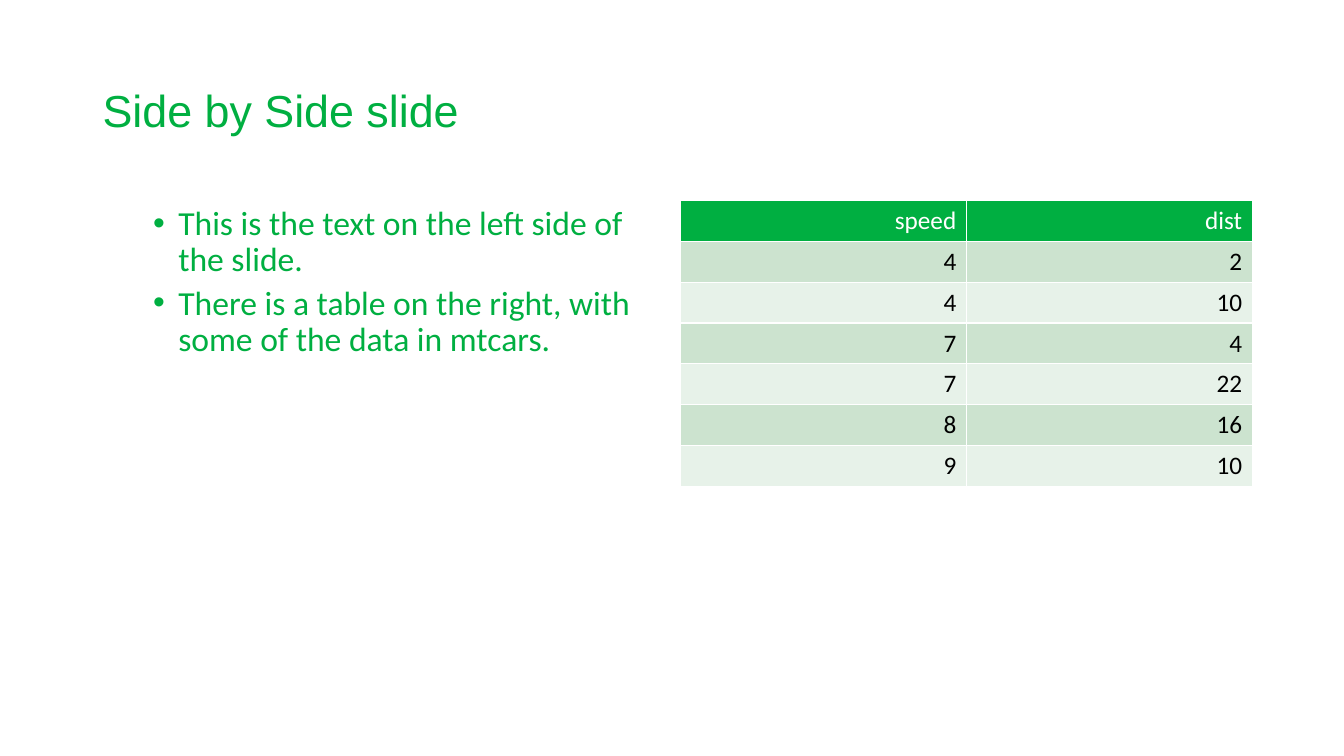
from dataclasses import dataclass

from lxml import etree
from pptx import Presentation
from pptx.dml.color import RGBColor
from pptx.enum import text
from pptx.oxml import ns
from pptx.util import Inches, Pt


@dataclass
class Theme:
    green: str = "00AF41"
    white: str = "FFFFFF"
    black: str = "000000"
    bands: tuple = ("CCE3CF", "E7F2E9")
    title_font: str = "Arial"
    body_font: str = "Calibri"
    title_size: int = 32
    body_size: int = 24
    table_size: int = 18


theme = Theme()


def style(para, font, size, color):
    for span in para.runs:
        span.font.name = font
        span.font.size = Pt(size)
        span.font.bold = False
        span.font.color.rgb = RGBColor.from_string(color)


def add_border(cell, side, color, width):
    properties = cell._tc.get_or_add_tcPr()
    line = etree.Element(ns.qn(f"a:ln{side}"), w=str(Pt(width)))
    fill = etree.SubElement(line, ns.qn("a:solidFill"))
    etree.SubElement(fill, ns.qn("a:srgbClr"), val=color)
    properties.insert("LRTB".index(side), line)


deck = Presentation()
deck.slide_width, deck.slide_height = Inches(13.33), Inches(7.5)
page = deck.slides.add_slide(deck.slide_layouts[6])

# Title
title = page.shapes.add_textbox(Inches(0.92), Inches(0.4), Inches(11.5), Inches(1.45))
title.text_frame.word_wrap = True
title.text_frame.vertical_anchor = text.MSO_ANCHOR.MIDDLE
title.text_frame.text = "Side by Side slide"
heading = title.text_frame.paragraphs[0]
heading.line_spacing = 0.9
style(heading, theme.title_font, theme.title_size, theme.green)

# Bullets on the left
bullets = page.shapes.add_textbox(Inches(0.92), Inches(2), Inches(5.67), Inches(4.76))
bullets.text_frame.word_wrap = True
bullets.text_frame.text = (
    "This is the text on the left side of the slide.\n"
    "There is a table on the right, with some of the data in mtcars."
)
for para in bullets.text_frame.paragraphs:
    para.level = 1
    para.line_spacing = 0.9
    para.space_before = Pt(5)
    style(para, theme.body_font, theme.body_size, theme.green)
    properties = para._p.get_or_add_pPr()
    properties.set("marL", str(Inches(0.75)))
    properties.set("indent", str(Inches(-0.25)))
    etree.SubElement(properties, ns.qn("a:buFont"), typeface="Arial")
    etree.SubElement(properties, ns.qn("a:buChar"), char="•")

# Table on the right
cars = [("speed", "dist"), (4, 2), (4, 10), (7, 4), (7, 22), (8, 16), (9, 10)]
row_height = 0.405
table = page.shapes.add_table(
    len(cars), 2, Inches(6.75), Inches(1.99), Inches(5.67), Inches(row_height * len(cars))
).table
for row, values in enumerate(cars):
    is_header = row == 0
    fill_color = theme.green if is_header else theme.bands[(row - 1) % 2]
    for column, value in enumerate(values):
        cell = table.cell(row, column)
        cell.text = str(value)
        para = cell.text_frame.paragraphs[0]
        para.alignment = text.PP_ALIGN.RIGHT
        style(para, theme.body_font, theme.table_size, theme.white if is_header else theme.black)
        cell.fill.solid()
        cell.fill.fore_color.rgb = RGBColor.from_string(fill_color)
        for side in "LRTB":
            add_border(cell, side, theme.white, 1)

deck.save("out.pptx")
